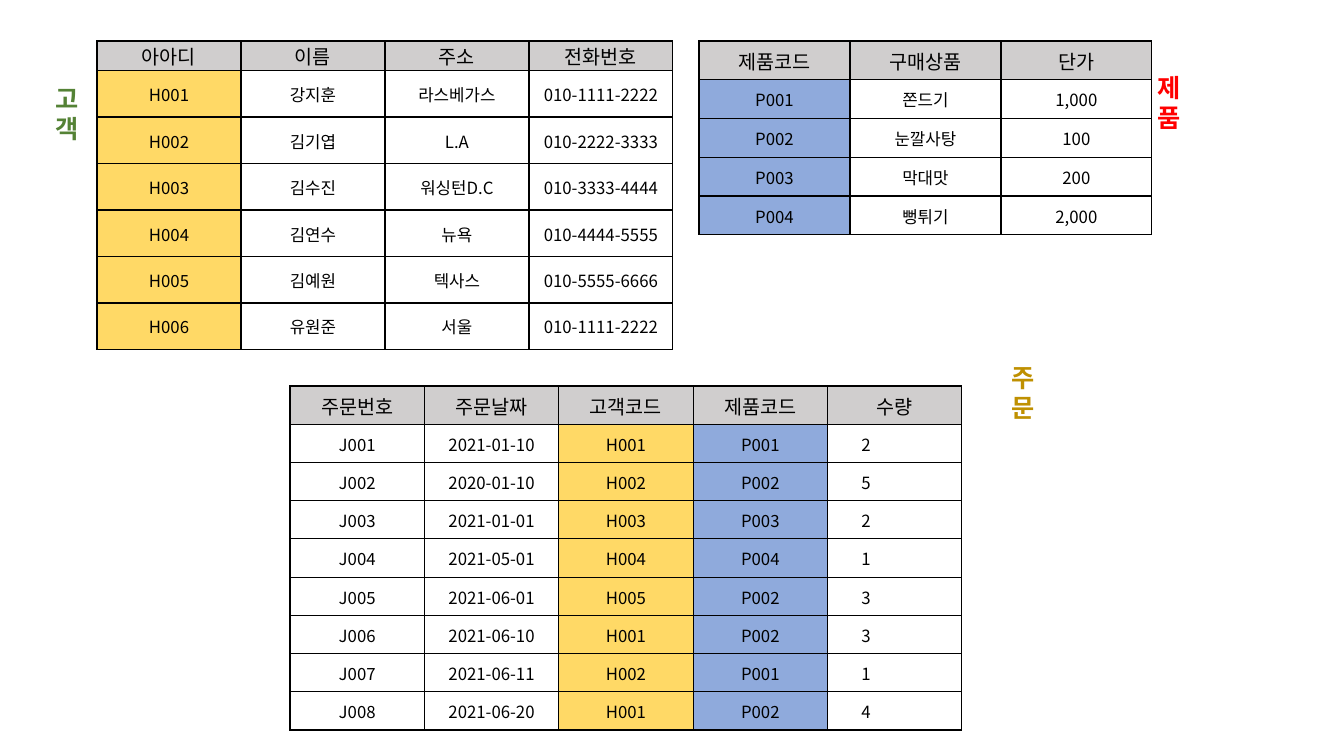
from lxml import etree
from pptx import Presentation
from pptx.dml.color import RGBColor
from pptx.enum.text import MSO_ANCHOR, MSO_AUTO_SIZE, PP_ALIGN
from pptx.oxml.ns import qn
from pptx.util import Pt

PX = 914400 / 100.8
FONT = "Noto Sans CJK KR"
CENTER, LEFT = PP_ALIGN.CENTER, PP_ALIGN.LEFT
MIDDLE = MSO_ANCHOR.MIDDLE
FIT_SHAPE = MSO_AUTO_SIZE.SHAPE_TO_FIT_TEXT

BLACK = RGBColor(0x00, 0x00, 0x00)
GRAY = RGBColor(0xD0, 0xCE, 0xCE)
YELLOW = RGBColor(0xFF, 0xD9, 0x66)
BLUE = RGBColor(0x8F, 0xAA, 0xDC)
GREEN = RGBColor(0x54, 0x82, 0x35)
RED = RGBColor(0xFF, 0x00, 0x00)
GOLD = RGBColor(0xBF, 0x90, 0x00)

CUSTOMERS = [
    ("아아디", "이름", "주소", "전화번호"),
    ("H001", "강지훈", "라스베가스", "010-1111-2222"),
    ("H002", "김기엽", "L.A", "010-2222-3333"),
    ("H003", "김수진", "워싱턴D.C", "010-3333-4444"),
    ("H004", "김연수", "뉴욕", "010-4444-5555"),
    ("H005", "김예원", "텍사스", "010-5555-6666"),
    ("H006", "유원준", "서울", "010-1111-2222"),
]
PRODUCTS = [
    ("제품코드", "구매상품", "단가"),
    ("P001", "쫀드기", "1,000"),
    ("P002", "눈깔사탕", "100"),
    ("P003", "막대맛", "200"),
    ("P004", "뻥튀기", "2,000"),
]
ORDERS = [
    ("주문번호", "주문날짜", "고객코드", "제품코드", "수량"),
    ("J001", "2021-01-10", "H001", "P001", "2"),
    ("J002", "2020-01-10", "H002", "P002", "5"),
    ("J003", "2021-01-01", "H003", "P003", "2"),
    ("J004", "2021-05-01", "H004", "P004", "1"),
    ("J005", "2021-06-01", "H005", "P002", "3"),
    ("J006", "2021-06-10", "H001", "P002", "3"),
    ("J007", "2021-06-11", "H002", "P001", "1"),
    ("J008", "2021-06-20", "H001", "P002", "4"),
]


def px(n):
    return round(n * PX)


def write(tf, text, size=12, color=BLACK, bold=False, align=LEFT):
    p = tf.paragraphs[0]
    p.alignment = align
    r = p.add_run()
    r.text = text
    r.font.size = Pt(size)
    r.font.bold = bold
    r.font.name = FONT
    r.font.color.rgb = color
    etree.SubElement(r.font._element, qn("a:ea"), typeface=FONT)


def add_borders(cell):
    tcPr = cell._tc.get_or_add_tcPr()
    for side in ("a:lnL", "a:lnR", "a:lnT", "a:lnB"):
        ln = etree.SubElement(tcPr, qn(side), w=str(Pt(1)))
        fill = etree.SubElement(ln, qn("a:solidFill"))
        etree.SubElement(fill, qn("a:srgbClr"), val=str(BLACK))


def add_data_table(slide, box, rows, key_fills, head=None, indents=None):
    x, y, w, h = box
    indents = indents or {}
    n_rows, n_cols = len(rows), len(rows[0])
    head = head or h / n_rows
    frame = slide.shapes.add_table(n_rows, n_cols, px(x), px(y), px(w), px(h))
    table = frame.table
    table.first_row = table.horz_banding = False
    for col in table.columns:
        col.width = px(w / n_cols)
    for i, values in enumerate(rows):
        is_head = i == 0
        table.rows[i].height = px(head if is_head else (h - head) / (n_rows - 1))
        for j, text in enumerate(values):
            cell = table.cell(i, j)
            indent = 0 if is_head else indents.get(j, 0)
            cell.vertical_anchor = MIDDLE
            cell.margin_left = px(1 + indent)
            cell.margin_top = cell.margin_right = px(1)
            cell.margin_bottom = 0
            add_borders(cell)
            color = GRAY if is_head else key_fills.get(j)
            if color:
                cell.fill.solid()
                cell.fill.fore_color.rgb = color
            else:
                cell.fill.background()
            write(cell.text_frame, text, size=14 if is_head else 12,
                  align=LEFT if indent else CENTER)


def add_label(slide, box, text, color):
    tf = slide.shapes.add_textbox(*map(px, box)).text_frame
    tf.word_wrap = True
    tf.auto_size = FIT_SHAPE
    write(tf, text, size=18, color=color, bold=True)


def main():
    prs = Presentation()
    prs.slide_width, prs.slide_height = px(1344), px(756)
    slide = prs.slides.add_slide(prs.slide_layouts[6])
    add_data_table(slide, (97, 41, 576, 308), CUSTOMERS, {0: YELLOW}, head=29)
    add_data_table(slide, (699, 41, 453, 194), PRODUCTS, {0: BLUE})
    add_data_table(slide, (290, 386, 672, 344), ORDERS, {2: YELLOW, 3: BLUE},
                   indents={4: 33})
    add_label(slide, (46, 78, 59, 71), "고객", GREEN)
    add_label(slide, (1148, 67, 59, 71), "제품", RED)
    add_label(slide, (1002, 357, 59, 71), "주문", GOLD)
    prs.save("out.pptx")


if __name__ == "__main__":
    main()
